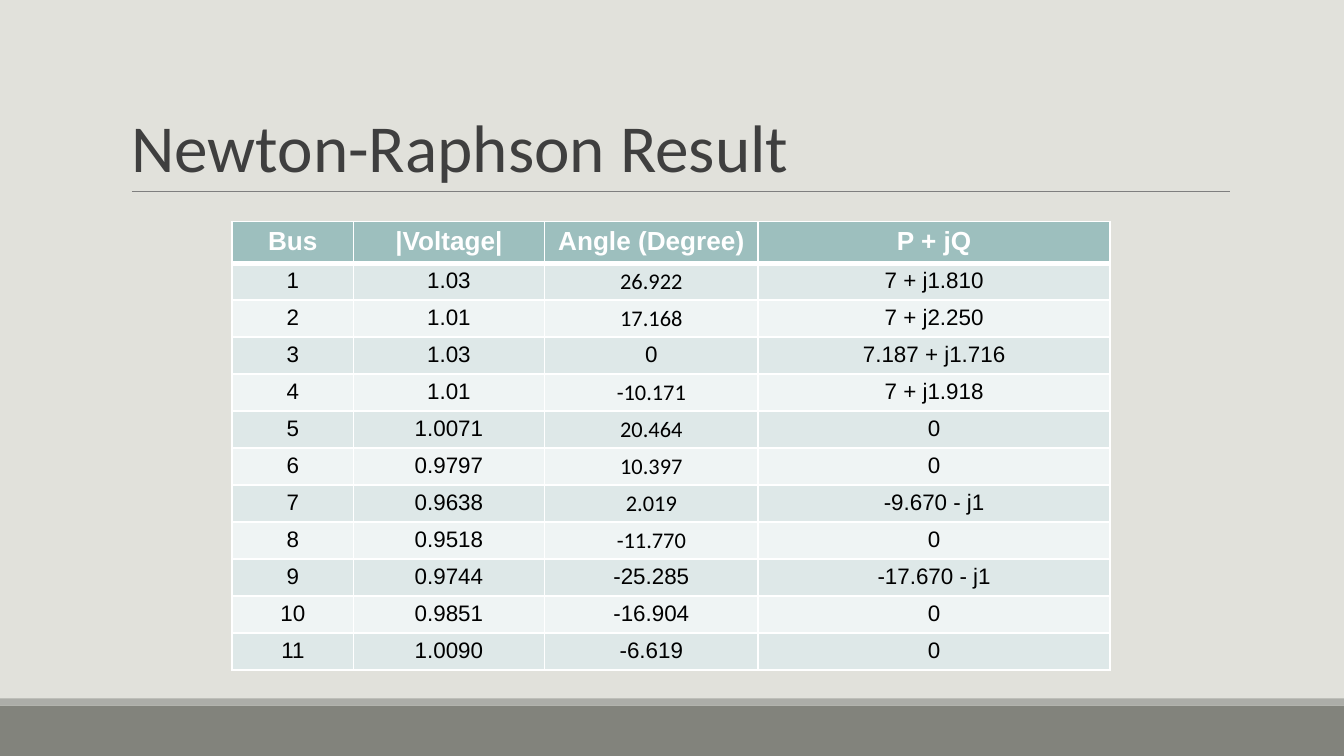
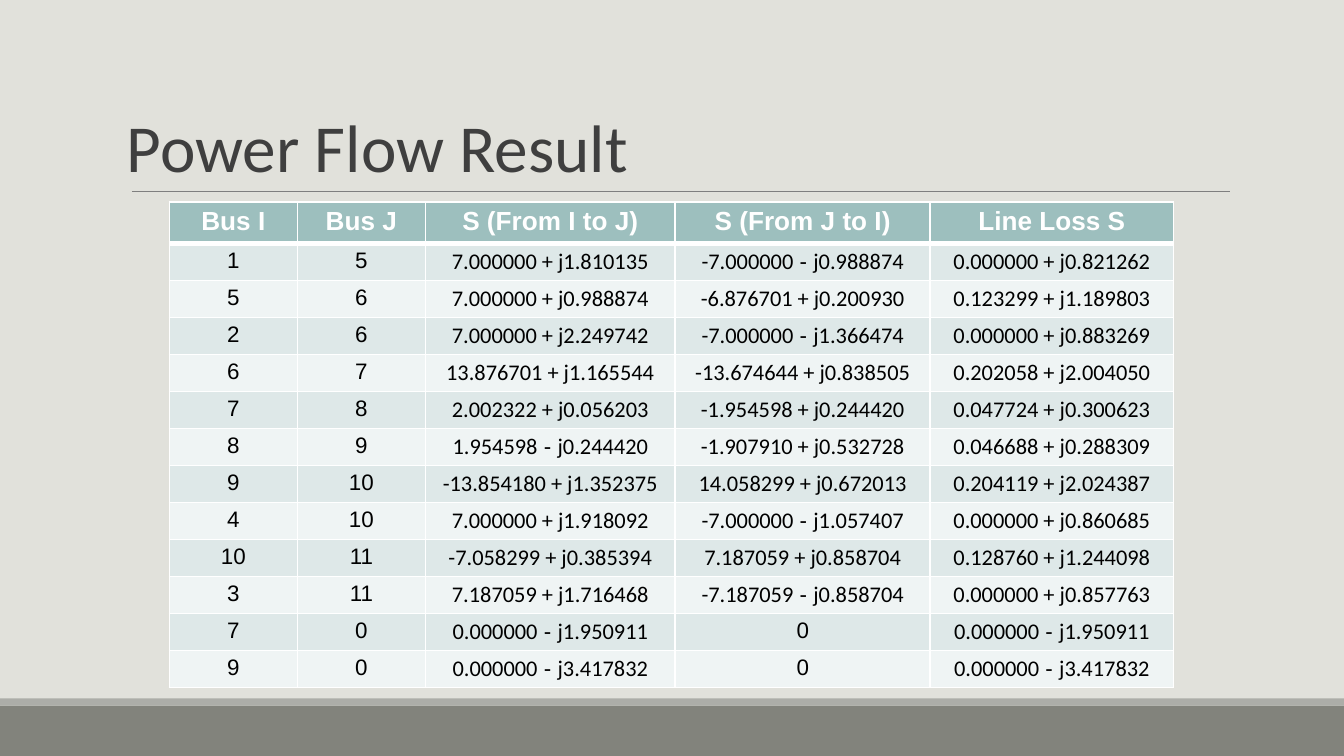
from lxml import etree
from pptx import Presentation
from pptx.dml.color import RGBColor
from pptx.enum.shapes import MSO_CONNECTOR, MSO_SHAPE
from pptx.enum.text import MSO_ANCHOR, PP_ALIGN
from pptx.oxml.ns import qn
from pptx.util import Cm, Pt

BACKGROUND = RGBColor(0xE1, 0xE1, 0xDB)
BAND = RGBColor(0x82, 0x83, 0x7C)
BAND_EDGE = RGBColor(0xAC, 0xAD, 0xA8)
RULE = RGBColor(0x7F, 0x7F, 0x7F)
TITLE = RGBColor(0x3F, 0x3F, 0x3F)
HEADER = RGBColor(0x9D, 0xBF, 0xBE)
STRIPES = RGBColor(0xDE, 0xE8, 0xE8), RGBColor(0xEF, 0xF4, 0xF4)
WHITE = RGBColor(0xFF, 0xFF, 0xFF)
BLACK = RGBColor(0, 0, 0)
BODY_FONT, NUMBER_FONT = "Arial", "Calibri"
WIDTH, HEIGHT = 25.4, 14.29

SLIDES = [
    {
        "title": "Newton-Raphson Result",
        "title_left": 2.29,
        "table_at": (4.39, 4.19),
        "columns": (2.29, 3.61, 4.04, 6.65),
        "row_heights": (0.64, 0.61),
        "number_columns": (2,),
        "number_rows": 8,
        "header": ("Bus", "|Voltage|", "Angle (Degree)", "P + jQ"),
        "rows": [
            ("1", "1.03", "26.922", "7 + j1.810"),
            ("2", "1.01", "17.168", "7 + j2.250"),
            ("3", "1.03", "0", "7.187 + j1.716"),
            ("4", "1.01", "-10.171", "7 + j1.918"),
            ("5", "1.0071", "20.464", "0"),
            ("6", "0.9797", "10.397", "0"),
            ("7", "0.9638", "2.019", "-9.670 - j1"),
            ("8", "0.9518", "-11.770", "0"),
            ("9", "0.9744", "-25.285", "-17.670 - j1"),
            ("10", "0.9851", "-16.904", "0"),
            ("11", "1.0090", "-6.619", "0"),
        ],
    },
    {
        "title": "Power Flow Result",
        "title_left": 2.21,
        "table_at": (3.2, 3.82),
        "columns": (2.42, 2.42, 4.72, 4.82, 4.6),
        "row_heights": (0.77, 0.69),
        "number_columns": (2, 3, 4),
        "number_rows": 12,
        "header": ("Bus I", "Bus J", "S (From I to J)", "S (From J to I)", "Line Loss S"),
        "rows": [
            ("1", "5", "7.000000 + j1.810135", "-7.000000 - j0.988874", "0.000000 + j0.821262"),
            ("5", "6", "7.000000 + j0.988874", "-6.876701 + j0.200930", "0.123299 + j1.189803"),
            ("2", "6", "7.000000 + j2.249742", "-7.000000 - j1.366474", "0.000000 + j0.883269"),
            ("6", "7", "13.876701 + j1.165544", "-13.674644 + j0.838505", "0.202058 + j2.004050"),
            ("7", "8", "2.002322 + j0.056203", "-1.954598 + j0.244420", "0.047724 + j0.300623"),
            ("8", "9", "1.954598 - j0.244420", "-1.907910 + j0.532728", "0.046688 + j0.288309"),
            ("9", "10", "-13.854180 + j1.352375", "14.058299 + j0.672013", "0.204119 + j2.024387"),
            ("4", "10", "7.000000 + j1.918092", "-7.000000 - j1.057407", "0.000000 + j0.860685"),
            ("10", "11", "-7.058299 + j0.385394", "7.187059 + j0.858704", "0.128760 + j1.244098"),
            ("3", "11", "7.187059 + j1.716468", "-7.187059 - j0.858704", "0.000000 + j0.857763"),
            ("7", "0", "0.000000 - j1.950911", "0", "0.000000 - j1.950911"),
            ("9", "0", "0.000000 - j3.417832", "0", "0.000000 - j3.417832"),
        ],
    },
]


def add_run(paragraph, text, size, font, color, bold=False):
    run = paragraph.add_run()
    run.text = text
    run.font.size = Pt(size)
    run.font.name = font
    run.font.color.rgb = color
    run.font.bold = bold


def set_margins(area):
    area.margin_left = area.margin_right = Cm(0.19)
    area.margin_top = area.margin_bottom = Cm(0.095)


def add_band(slide, top, height, color):
    band = slide.shapes.add_shape(MSO_SHAPE.RECTANGLE, 0, Cm(top), Cm(WIDTH), Cm(height))
    band.shadow.inherit = False
    band.fill.solid()
    band.fill.fore_color.rgb = color
    band.line.fill.background()


def add_frame(slide, title, left):
    slide.background.fill.solid()
    slide.background.fill.fore_color.rgb = BACKGROUND
    add_band(slide, 13.34, HEIGHT - 13.34, BAND)
    add_band(slide, 13.2, 0.14, BAND_EDGE)
    rule = slide.shapes.add_connector(
        MSO_CONNECTOR.STRAIGHT, Cm(2.49), Cm(3.62), Cm(23.24), Cm(3.62))
    rule.line.color.rgb = RULE
    rule.line.width = Pt(0.75)
    etree.SubElement(rule.element.spPr, qn("a:effectLst"))
    frame = slide.shapes.add_textbox(Cm(left), Cm(0.6), Cm(20.96), Cm(3.02)).text_frame
    frame.word_wrap = True
    frame.vertical_anchor = MSO_ANCHOR.BOTTOM
    set_margins(frame)
    frame.paragraphs[0].line_spacing = 0.85
    add_run(frame.paragraphs[0], title, 36, NUMBER_FONT, TITLE)


def set_borders(cell, top, bottom):
    properties = cell._tc.get_or_add_tcPr()
    for side, width in (("L", 1), ("R", 1), ("T", top), ("B", bottom)):
        line = etree.SubElement(properties, qn("a:ln" + side), w=str(Pt(width)))
        fill = etree.SubElement(line, qn("a:solidFill"))
        etree.SubElement(fill, qn("a:srgbClr"), val=str(WHITE))


def fill_cell(cell, text, row, is_number):
    set_margins(cell)
    set_borders(cell, 3 if row == 1 else 1, 3 if row == 0 else 1)
    cell.fill.solid()
    cell.fill.fore_color.rgb = STRIPES[(row - 1) % 2] if row else HEADER
    paragraph = cell.text_frame.paragraphs[0]
    paragraph.alignment = PP_ALIGN.CENTER
    if row == 0:
        add_run(paragraph, text, 14, BODY_FONT, WHITE, True)
    elif is_number:
        real, minus, imaginary = text.partition(" - ")
        add_run(paragraph, real, 12, NUMBER_FONT, BLACK)
        if minus:
            add_run(paragraph, minus, 12, BODY_FONT, BLACK)
            add_run(paragraph, imaginary, 12, NUMBER_FONT, BLACK)
    else:
        add_run(paragraph, text, 12, BODY_FONT, BLACK)


def add_result_table(slide, content):
    rows = [content["header"], *content["rows"]]
    columns = content["columns"]
    header_height, row_height = content["row_heights"]
    left, top = content["table_at"]
    height = header_height + row_height * len(content["rows"])
    table = slide.shapes.add_table(
        len(rows), len(columns), Cm(left), Cm(top), Cm(sum(columns)), Cm(height)).table
    for column, width in zip(table.columns, columns):
        column.width = Cm(width)
    for r, values in enumerate(rows):
        table.rows[r].height = Cm(row_height if r else header_height)
        for c, text in enumerate(values):
            is_number = (c in content["number_columns"]
                         and r <= content["number_rows"] and text != "0")
            fill_cell(table.cell(r, c), text, r, is_number)


prs = Presentation()
prs.slide_width, prs.slide_height = Cm(WIDTH), Cm(HEIGHT)
for content in SLIDES:
    slide = prs.slides.add_slide(prs.slide_layouts[6])
    add_frame(slide, content["title"], content["title_left"])
    add_result_table(slide, content)
prs.save("out.pptx")
